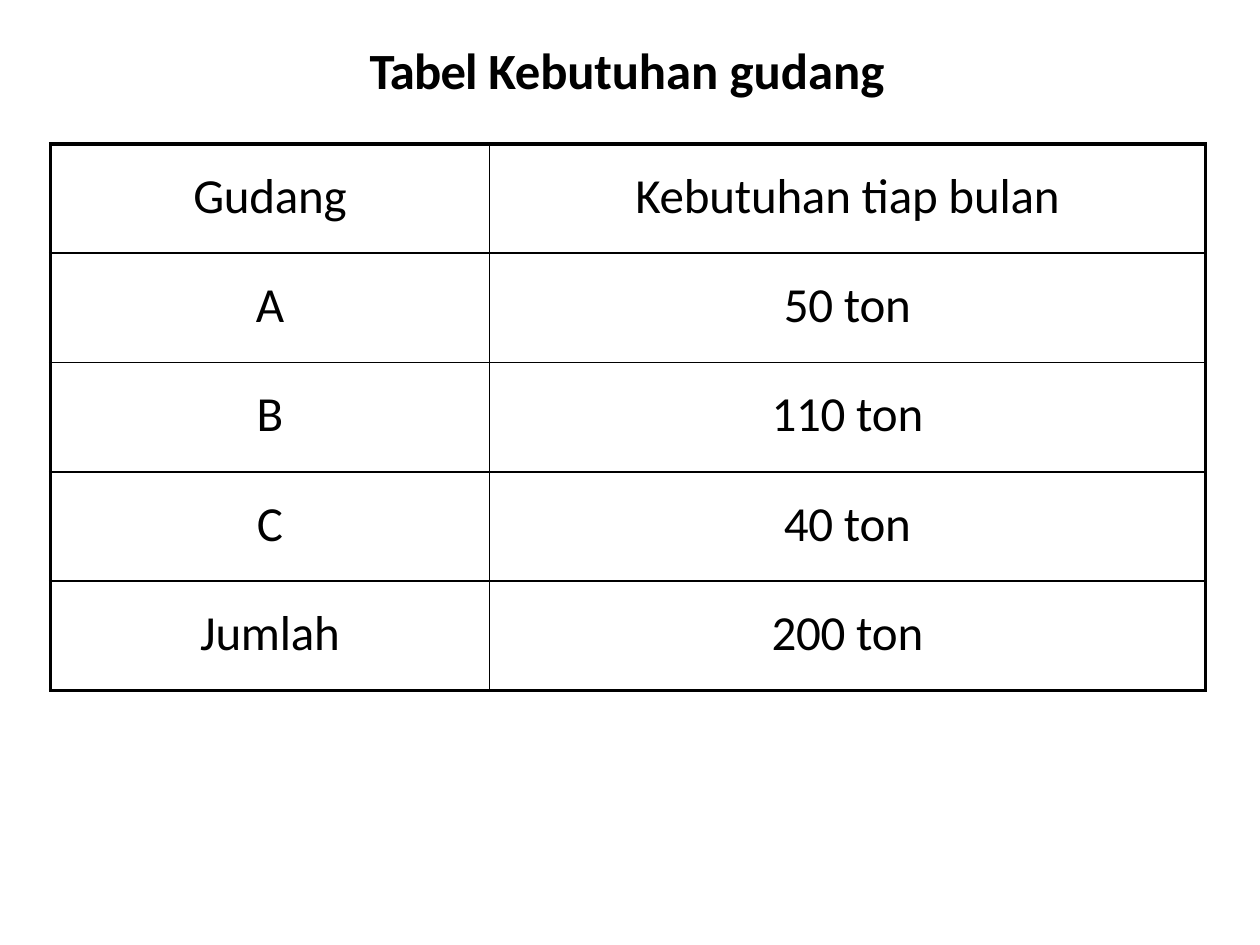
from lxml import etree
from pptx import Presentation
from pptx.dml.color import RGBColor
from pptx.enum.text import MSO_ANCHOR, MSO_AUTO_SIZE, PP_ALIGN
from pptx.oxml.ns import qn
from pptx.util import Cm, Pt

LEFT, CENTER = PP_ALIGN.LEFT, PP_ALIGN.CENTER
TOP = MSO_ANCHOR.TOP
NO_AUTOFIT = MSO_AUTO_SIZE.NONE

COLORS = {"ink": "000000", "paper": "FFFFFF"}
FONT = "Calibri"
THIN, THICK = Pt(1), Pt(2.25)

TITLE_SPANS = [("Tabel ", -0.5), ("Kebutuhan ", -0.1), ("gudang", 0)]
NEEDS = [
    ("Gudang", "Kebutuhan tiap bulan"),
    ("A", "50 ton"),
    ("B", "110 ton"),
    ("C", "40 ton"),
    ("Jumlah", "200 ton"),
]
COLUMN_SHARES = (0.38, 0.62)


def format_paragraph(para, size, align, bold=False):
    para.alignment = align
    para.font.name = FONT
    para.font.size = Pt(size)
    para.font.bold = bold
    para.font.color.rgb = RGBColor.from_string(COLORS["ink"])


def add_span(para, text, spacing):
    span = para.add_run()
    span.text = text
    span.font._element.set("spc", str(round(spacing * 100)))


def set_borders(cell, widths):
    """Draw the cell's edges; the lines must precede the fill in tcPr."""
    properties = cell._tc.get_or_add_tcPr()
    for position, (side, width) in enumerate(widths.items()):
        line = etree.Element(qn(f"a:ln{side}"), w=str(width))
        fill = etree.SubElement(line, qn("a:solidFill"))
        etree.SubElement(fill, qn("a:srgbClr"), val=COLORS["ink"])
        properties.insert(position, line)


def place_title(page, left, top, width, height):
    box = page.shapes.title
    box.left, box.top, box.width, box.height = left, top, width, height
    frame = box.text_frame
    frame.auto_size = NO_AUTOFIT
    frame.word_wrap = True
    frame.vertical_anchor = TOP
    frame.margin_left = Cm(0.03)
    frame.margin_top = frame.margin_right = frame.margin_bottom = 0
    para = frame.paragraphs[0]
    format_paragraph(para, 29, LEFT, bold=True)
    for text, spacing in TITLE_SPANS:
        add_span(para, text, spacing)


def place_needs_table(page, left, top, width, height):
    row_count, column_count = len(NEEDS), len(COLUMN_SHARES)
    table = page.shapes.add_table(
        row_count, column_count, left, top, width, height).table
    table.first_row = table.horz_banding = False
    for column, share in zip(table.columns, COLUMN_SHARES):
        column.width = round(width * share)

    for row, texts in enumerate(NEEDS):
        table.rows[row].height = height // row_count
        for column, text in enumerate(texts):
            cell = table.cell(row, column)
            cell.fill.solid()
            cell.fill.fore_color.rgb = RGBColor.from_string(COLORS["paper"])
            cell.vertical_anchor = TOP
            cell.margin_left = cell.margin_right = cell.margin_bottom = 0
            cell.margin_top = Cm(0.46)
            para = cell.text_frame.paragraphs[0]
            format_paragraph(para, 28, CENTER)
            add_span(para, text, -0.1)
            # Thick frame outside, thin grid inside
            set_borders(cell, {
                "L": THICK if column == 0 else THIN,
                "R": THICK if column == column_count - 1 else THIN,
                "T": THICK if row == 0 else THIN,
                "B": THICK if row == row_count - 1 else THIN,
            })


def main():
    deck = Presentation()
    deck.slide_width, deck.slide_height = Cm(25.4), Cm(19.05)
    page = deck.slides.add_slide(deck.slide_layouts[5])
    place_title(page, Cm(7.42), Cm(0.78), Cm(10.54), Cm(1.3))
    place_needs_table(page, Cm(1.02), Cm(2.9), Cm(23.28), Cm(11.02))
    deck.save("out.pptx")


if __name__ == "__main__":
    main()
